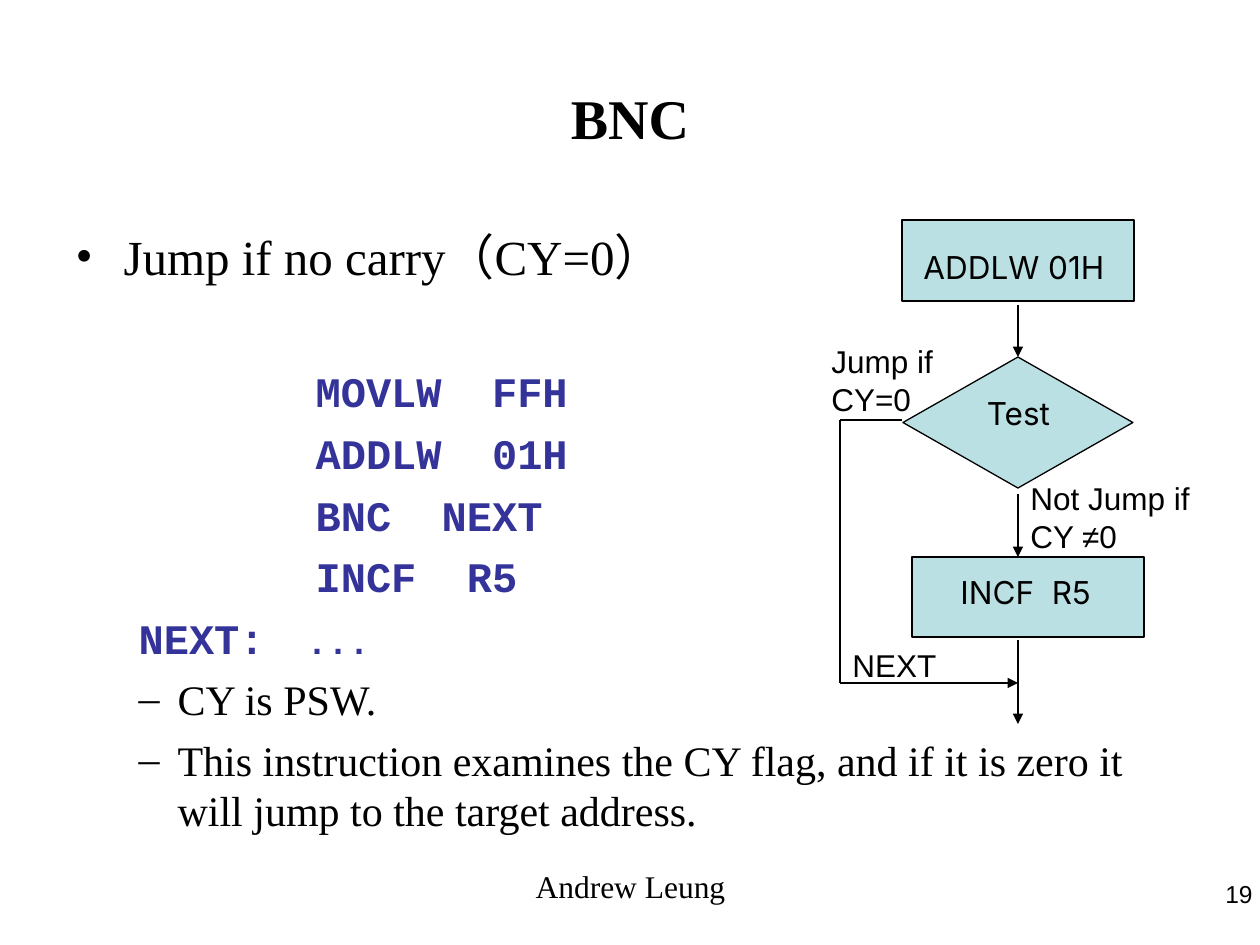
from lxml import etree
from pptx import Presentation
from pptx.dml.color import RGBColor
from pptx.enum.shapes import MSO_CONNECTOR, MSO_SHAPE
from pptx.enum.text import MSO_ANCHOR, MSO_AUTO_SIZE, PP_ALIGN
from pptx.oxml.ns import qn
from pptx.util import Pt

PX = 914400 // 126
BLACK = RGBColor(0x00, 0x00, 0x00)
NAVY = RGBColor(0x33, 0x33, 0x99)
TEAL = RGBColor(0xBB, 0xE0, 0xE3)
LEFT, CENTER, RIGHT = PP_ALIGN.LEFT, PP_ALIGN.CENTER, PP_ALIGN.RIGHT
RECT, DECISION = MSO_SHAPE.RECTANGLE, MSO_SHAPE.FLOWCHART_DECISION
SERIF, SANS, INTER, MONO = "Times New Roman", "Arial", "Inter", "Courier New"

TITLE = "BNC"
# style: font, colour, bold, left margin, first-line indent, bullet, space before
STYLES = {
    "point": (SERIF, BLACK, False, 48, -48, "•", 0),
    "first code": (MONO, NAVY, True, 240, 0, None, 46),
    "code": (MONO, NAVY, True, 240, 0, None, 6.5),
    "label": (MONO, NAVY, True, 63, 0, None, 6.5),
    "dash": (SERIF, BLACK, False, 102, -39, "–", 6),
}
BODY = [
    ("point", [("Jump if no carry（CY=0）", 28)]),
    ("first code", [("MOVLW  FFH", 24)]),
    ("code", [("ADDLW  01H", 24)]),
    ("code", [("BNC  NEXT", 24)]),
    ("code", [("INCF  R5", 24)]),
    ("label", [("NEXT:", 24), ("  ...", 20)]),
    ("dash", [("CY is PSW.", 24)]),
    ("dash", [("This instruction examines the CY flag, and if it is zero it "
               "will jump to the target address.", 24)]),
]
STEPS = [
    (RECT, (902, 220, 232, 81)),
    (DECISION, (903, 357, 230, 131)),
    (RECT, (912, 557, 232, 80)),
]
# text, place, font, size, alignment
LABELS = [
    ("ADDLW 01H", (886, 242, 256, 50), INTER, 18, CENTER),
    ("Test", (917, 388, 203, 50), INTER, 18, CENTER),
    ("INCF  R5", (948, 567, 220, 50), INTER, 18, LEFT),
    ("Jump if CY=0", (819, 336, 132, 88), SANS, 18, LEFT),
    ("Not Jump if CY ≠0", (1018, 473, 189, 88), SANS, 18, LEFT),
    ("NEXT", (840, 640, 137, 50), SANS, 18, LEFT),
    ("Andrew Leung", (431, 861, 399, 66), SERIF, 18, CENTER),
    ("19", (971, 873, 294, 66), SANS, 14, RIGHT),
]
FLOW_X, JUMP_X, TEST_Y, NEXT_Y = 1018, 840, 420, 683
# start, end, arrowhead
LINES = [
    ((FLOW_X, 305), (FLOW_X, 357), True),
    ((FLOW_X, 494), (FLOW_X, 557), True),
    ((FLOW_X, 640), (FLOW_X, 724), True),
    ((902, TEST_Y), (JUMP_X, TEST_Y), False),
    ((JUMP_X, TEST_Y), (JUMP_X, NEXT_Y), False),
    ((JUMP_X, NEXT_Y), (FLOW_X, NEXT_Y), True),
]


def emu(place):
    """Turn pixel lengths into EMU."""
    return [value * PX for value in place]


def move(shape, place):
    """Put a placeholder at a pixel place."""
    shape.left, shape.top, shape.width, shape.height = emu(place)


def add_span(para, text, font, size, color=BLACK, bold=False):
    """Add one formatted run."""
    span = para.add_run()
    span.text = text
    span.font.name, span.font.size, span.font.bold = font, Pt(size), bold
    span.font.color.rgb = color


def set_bullet(para, margin, indent, bullet):
    """Set the indents and the bullet character of a paragraph."""
    props = para._p.get_or_add_pPr()
    props.set("marL", str(margin * PX))
    props.set("indent", str(indent * PX))
    if bullet:
        font = etree.SubElement(props, qn("a:buFont"))
        font.set("typeface", SERIF)
        etree.SubElement(props, qn("a:buChar")).set("char", bullet)
    else:
        etree.SubElement(props, qn("a:buNone"))


def fill_title(page):
    """Write the slide title."""
    title = page.shapes.title
    move(title, (63, 38, 1134, 158))
    frame = title.text_frame
    frame.vertical_anchor = MSO_ANCHOR.MIDDLE
    frame.auto_size = MSO_AUTO_SIZE.NONE
    para = frame.paragraphs[0]
    para.alignment = CENTER
    add_span(para, TITLE, SERIF, 32, bold=True)


def fill_body(page):
    """Write the points and the code."""
    body = page.placeholders[1]
    move(body, (63, 220, 1134, 624))
    frame = body.text_frame
    frame.auto_size = MSO_AUTO_SIZE.NONE
    for number, (style, spans) in enumerate(BODY):
        font, color, bold, margin, indent, bullet, before = STYLES[style]
        para = frame.add_paragraph() if number else frame.paragraphs[0]
        para.level = 0 if style == "point" else 1
        para.space_before = Pt(before)
        set_bullet(para, margin, indent, bullet)
        for text, size in spans:
            add_span(para, text, font, size, color, bold)


def add_step(page, kind, place):
    """Draw one flowchart step."""
    step = page.shapes.add_shape(kind, *emu(place))
    step.shadow.inherit = False
    step.fill.solid()
    step.fill.fore_color.rgb = TEAL
    step.line.color.rgb = BLACK
    step.line.width = Pt(0.75)


def add_label(page, text, place, font, size, alignment):
    """Add a wrapped text box."""
    frame = page.shapes.add_textbox(*emu(place)).text_frame
    frame.word_wrap = True
    para = frame.paragraphs[0]
    para.alignment = alignment
    add_span(para, text, font, size)


def add_line(page, start, end, arrow):
    """Draw a straight flow line, with an arrowhead if asked."""
    line = page.shapes.add_connector(MSO_CONNECTOR.STRAIGHT, *emu(start + end))
    line.line.color.rgb = BLACK
    line.line.width = Pt(0.75)
    if arrow:
        tail = etree.SubElement(line.line._get_or_add_ln(), qn("a:tailEnd"))
        tail.set("type", "triangle")
    etree.SubElement(line._element.spPr, qn("a:effectLst"))


deck = Presentation()
deck.slide_width, deck.slide_height = emu((1260, 945))
page = deck.slides.add_slide(deck.slide_layouts[1])
fill_title(page)
fill_body(page)
for step in STEPS:
    add_step(page, *step)
for line in LINES:
    add_line(page, *line)
for label in LABELS:
    add_label(page, *label)
deck.save("out.pptx")
